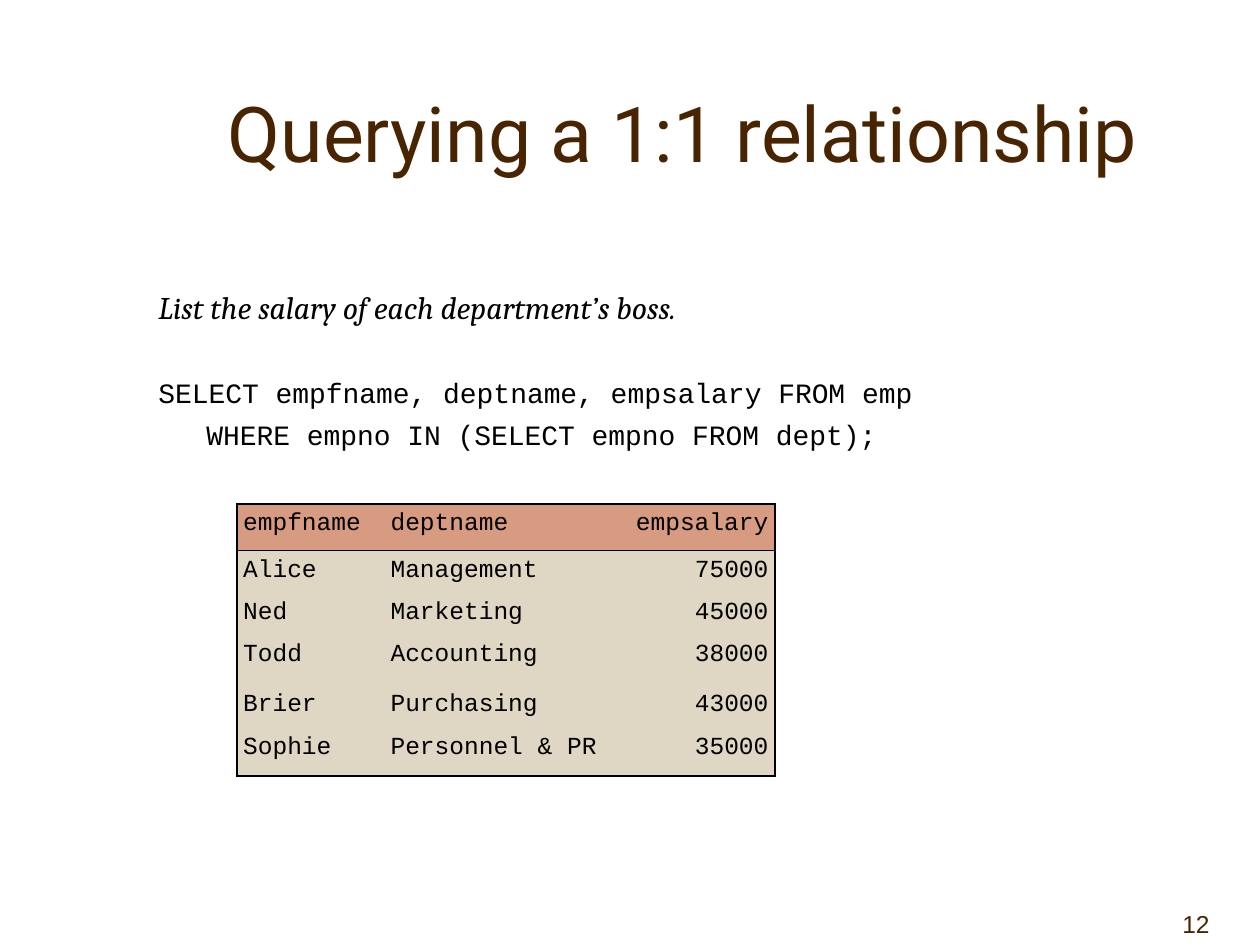
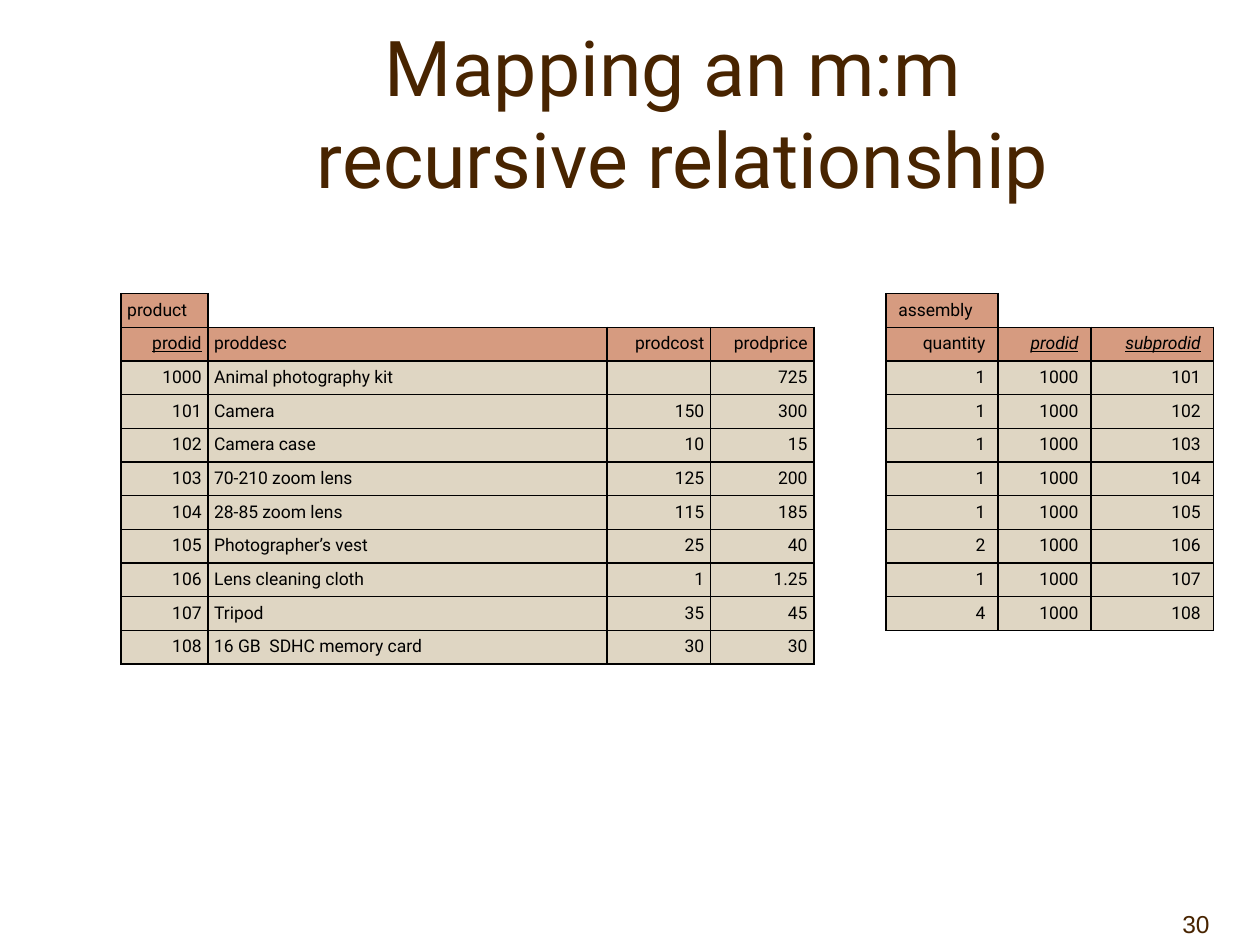
from pptx import Presentation
from pptx.dml.color import RGBColor
from pptx.enum.text import MSO_ANCHOR, MSO_AUTO_SIZE, PP_ALIGN
from pptx.oxml.xmlchemy import OxmlElement
from pptx.util import Inches, Pt

BROWN = RGBColor(0x48, 0x24, 0x00)
BLACK = RGBColor(0, 0, 0)
HEADER = RGBColor(0xD6, 0x9B, 0x80)
SAND = RGBColor(0xDF, 0xD6, 0xC3)

TITLE_BOX = (1.17, 0.42, 8.5, 1.25)
NUMBER_BOX = (9, 7, 1, 0.5)
TITLE_FONT = {"name": "Roboto", "size": Pt(44)}
NUMBER_FONT = {"name": "Arial", "size": Pt(14)}
QUESTION_FONT = {"name": "Cambria", "size": Pt(18), "italic": True}
CODE_FONT = {"name": "Courier New", "size": Pt(16)}
RESULT_FONT = {"name": "Courier New", "size": Pt(14)}
DATA_FONT = {"name": "Roboto", "size": Pt(10)}
KEY = {"underline": True}
FOREIGN_KEY = {"underline": True, "italic": True}
ALIGNS = {"l": PP_ALIGN.LEFT, "r": PP_ALIGN.RIGHT, "j": PP_ALIGN.JUSTIFY}

SALARIES = [
    ("empfname", "deptname", "empsalary"),
    ("Alice", "Management", "75000"),
    ("Ned", "Marketing", "45000"),
    ("Todd", "Accounting", "38000"),
    ("Brier", "Purchasing", "43000"),
    ("Sophie", "Personnel & PR", "35000"),
]
PRODUCTS = [
    ("product", "", "", ""),
    ("prodid", "proddesc", "prodcost", "prodprice"),
    ("1000", "Animal photography kit", "", "725"),
    ("101", "Camera", "150", "300"),
    ("102", "Camera case", "10", "15"),
    ("103", "70-210 zoom lens", "125", "200"),
    ("104", "28-85 zoom lens", "115", "185"),
    ("105", "Photographer’s vest", "25", "40"),
    ("106", "Lens cleaning cloth", "1", "1.25"),
    ("107", "Tripod", "35", "45"),
    ("108", "16 GB  SDHC memory card", "30", "30"),
]
QUANTITIES = (1, 1, 1, 1, 1, 2, 1, 4)
ASSEMBLY = [("assembly", "", ""), ("quantity", "prodid", "subprodid")] + [
    (str(quantity), "1000", str(subprodid))
    for subprodid, quantity in enumerate(QUANTITIES, 101)
]


def apply(target, values):
    for name, value in values.items():
        setattr(target, name, value)


def write(p, text, font, color):
    p.text = text
    for r in p.runs:
        apply(r.font, font)
        r.font.color.rgb = color


def add_text(s, box):
    tf = s.shapes.add_textbox(*map(Inches, box)).text_frame
    tf.word_wrap = True
    return tf


def add_title_slide(prs, title, number, anchor):
    s = prs.slides.add_slide(prs.slide_layouts[5])
    sp = s.shapes.title
    apply(sp, dict(zip(("left", "top", "width", "height"), map(Inches, TITLE_BOX))))
    tf = sp.text_frame
    apply(tf, {"auto_size": MSO_AUTO_SIZE.NONE, "vertical_anchor": anchor, "word_wrap": True})
    write(tf.paragraphs[0], title, TITLE_FONT, BROWN)
    tf.paragraphs[0].alignment = PP_ALIGN.CENTER

    tf = add_text(s, NUMBER_BOX)
    apply(tf, {"vertical_anchor": MSO_ANCHOR.BOTTOM, "margin_right": Inches(0.4)})
    write(tf.paragraphs[0], number, NUMBER_FONT, BROWN)
    tf.paragraphs[0].alignment = PP_ALIGN.RIGHT
    return s


def add_query(s, box):
    tf = add_text(s, box)
    lines = [
        ("List the salary of each department’s boss.", QUESTION_FONT, 0, 0),
        ("SELECT empfname, deptname, empsalary FROM emp", CODE_FONT, 28, 0),
        ("WHERE empno IN (SELECT empno FROM dept);", CODE_FONT, 4.8, 0.38),
    ]
    for i, (text, font, gap, indent) in enumerate(lines):
        p = tf.add_paragraph() if i else tf.paragraphs[0]
        write(p, text, font, BLACK)
        p.space_before = Pt(gap)
        p._p.get_or_add_pPr().set("marL", str(Inches(indent)))


def set_borders(cell, edges):
    tcPr = cell._tc.get_or_add_tcPr()
    for edge in "LRTB":
        ln = OxmlElement(f"a:ln{edge}")
        ln.set("w", str(Pt(1)))
        if edge in edges:
            fill = OxmlElement("a:solidFill")
            color = OxmlElement("a:srgbClr")
            color.set("val", str(BLACK))
            fill.append(color)
        else:
            fill = OxmlElement("a:noFill")
        ln.append(fill)
        tcPr.append(ln)


def outline_edges(r, c, rows, cols):
    shown = {"L": c == 0, "R": c == cols - 1, "T": r <= 1, "B": r in (0, rows - 1)}
    return [edge for edge, show in shown.items() if show]


def tab_edges(r, c, rows, cols):
    if r or not c:
        return "LRTB"
    return "LB" if c == 1 else "B"


def add_data_table(s, left, top, widths, heights, data, aligns, font, edges,
                   headers=1, side=0.05, gap=0, styles={}):
    rows, cols = len(data), len(widths)
    table = s.shapes.add_table(rows, cols, Inches(left), Inches(top),
                               Inches(sum(widths)), Inches(sum(heights))).table
    apply(table, {"first_row": False, "horz_banding": False})
    for column, width in zip(table.columns, widths):
        column.width = Inches(width)
    for row, height in zip(table.rows, heights):
        row.height = Inches(height)
    margins = {"margin_left": Inches(side), "margin_right": Inches(side),
               "margin_top": Inches(0.05), "margin_bottom": Inches(0.05)}
    for r, values in enumerate(data):
        for c, text in enumerate(values):
            cell = table.cell(r, c)
            set_borders(cell, edges(r, c, rows, cols))
            apply(cell, margins)
            if text or r >= headers:
                cell.fill.solid()
                cell.fill.fore_color.rgb = HEADER if r < headers else SAND
            else:
                cell.fill.background()
            p = cell.text_frame.paragraphs[0]
            if text:
                write(p, text, font | styles.get((r, c), {}), BLACK)
                align = "j" if headers == 2 and r == 0 else aligns[c]
                apply(p, {"alignment": ALIGNS[align], "space_before": Pt(gap),
                          "space_after": Pt(gap)})
            else:
                end = OxmlElement("a:endParaRPr")
                end.set("sz", str(int(font["size"].pt * 100)))
                p._p.append(end)


def build_query_slide(prs):
    s = add_title_slide(prs, "Querying a 1:1 relationship", "12", MSO_ANCHOR.MIDDLE)
    add_query(s, (1.16, 2.24, 8.5, 4.5))
    add_data_table(s, 1.88, 4, (1.17, 1.85, 1.25), (0.37, 0.33, 0.33, 0.4, 0.34, 0.38),
                   SALARIES, "llr", RESULT_FONT, outline_edges)


def build_mapping_slide(prs):
    s = add_title_slide(prs, "Mapping an m:m \vrecursive relationship", "30",
                        MSO_ANCHOR.BOTTOM)
    shared = {"font": DATA_FONT, "edges": tab_edges, "headers": 2, "gap": 3}
    add_data_table(s, 0.96, 2.33, (0.69, 3.17, 0.82, 0.82), [0.26] * len(PRODUCTS),
                   PRODUCTS, "rjrr", styles={(1, 0): KEY}, **shared)
    add_data_table(s, 7.03, 2.33, (0.89, 0.74, 0.97), [0.26] * len(ASSEMBLY),
                   ASSEMBLY, "rrr", side=0.1,
                   styles={(1, 1): FOREIGN_KEY, (1, 2): FOREIGN_KEY}, **shared)


def main():
    prs = Presentation()
    apply(prs, {"slide_width": Inches(10), "slide_height": Inches(7.5)})
    build_query_slide(prs)
    build_mapping_slide(prs)
    prs.save("out.pptx")


if __name__ == "__main__":
    main()
